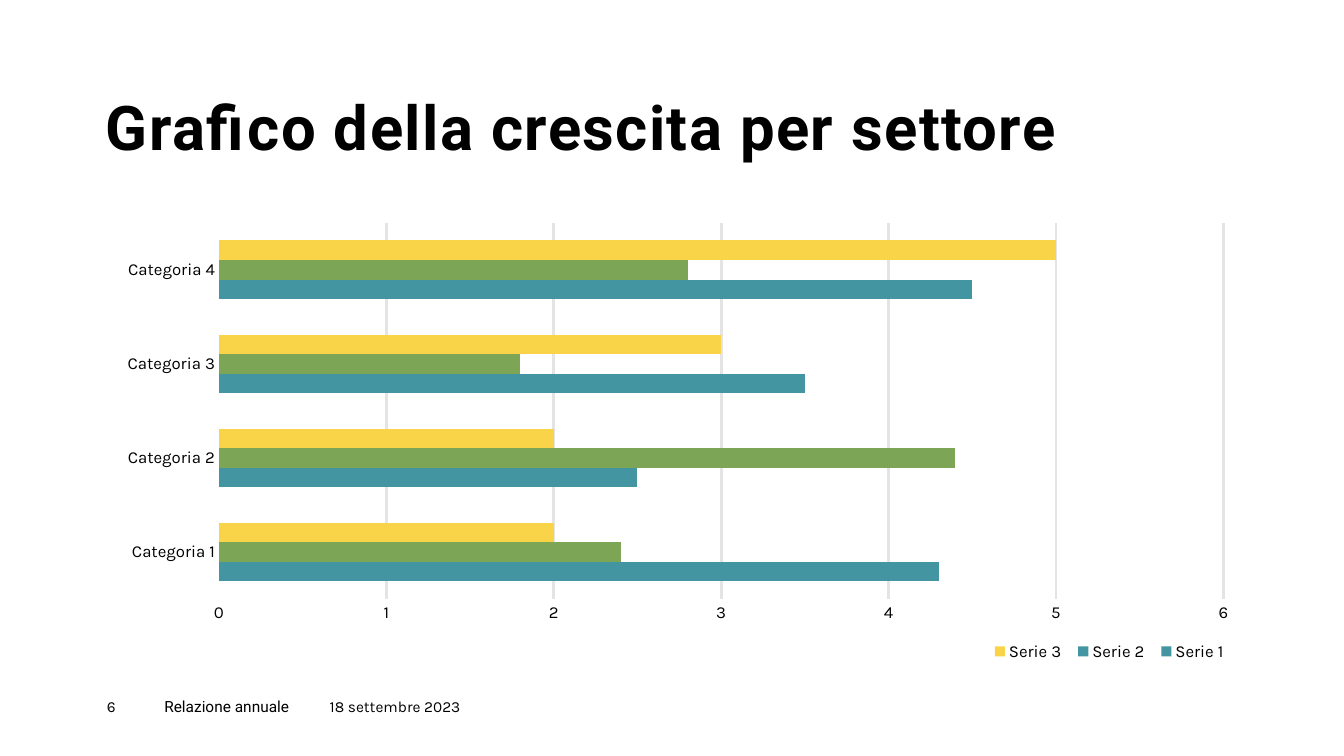
from dataclasses import dataclass

from lxml import etree
from pptx import Presentation
from pptx.chart import data as chart_data
from pptx.dml.color import RGBColor
from pptx.enum import chart as chart_enum, text
from pptx.oxml import ns
from pptx.util import Inches, Pt


@dataclass(frozen=True)
class Theme:
    """Colours, fonts and type sizes of the slide."""
    ink: str = "000000"
    paper: str = "FFFFFF"
    grid: str = "E4E4E4"
    teal: str = "4495A2"
    green: str = "7CA655"
    yellow: str = "F9D448"
    heading: str = "Roboto"
    body: str = "Karla"
    title_size: int = 44
    chart_size: int = 10
    label_size: int = 12
    footer_size: int = 11


THEME = Theme()
CATEGORIES = [f"Categoria {number}" for number in range(1, 5)]
SERIES = [
    ("Serie 1", (4.3, 2.5, 3.5, 4.5), THEME.teal, THEME.teal),
    ("Serie 2", (2.4, 4.4, 1.8, 2.8), THEME.teal, THEME.green),
    ("Serie 3", (2, 2, 3, 5), THEME.yellow, THEME.yellow),
]


def set_font(font, name, size, bold=False):
    """Apply typeface, size, weight and ink colour."""
    font.name, font.size, font.bold = name, Pt(size), bold
    font.color.rgb = RGBColor.from_string(THEME.ink)


def set_fill(format_, color):
    """Apply a solid fill."""
    format_.fill.solid()
    format_.fill.fore_color.rgb = RGBColor.from_string(color)


def add_text(slide, box, words, font_name, size, bold=False):
    """Add a text box without margins and return its frame."""
    frame = slide.shapes.add_textbox(*map(Inches, box)).text_frame
    frame.word_wrap = True
    frame.margin_left = frame.margin_right = frame.margin_top = frame.margin_bottom = 0
    frame.text = words
    set_font(frame.paragraphs[0].runs[0].font, font_name, size, bold)
    return frame


def add_title(slide, box):
    """Place the slide title at the bottom of its box."""
    frame = add_text(slide, box, "Grafico della crescita per settore",
                     THEME.heading, THEME.title_size, True)
    frame.vertical_anchor = text.MSO_ANCHOR.BOTTOM
    paragraph = frame.paragraphs[0]
    paragraph.line_spacing = 0.9
    paragraph.runs[0].font._element.set("spc", "100")


def set_layout(element, box, inner=False):
    """Fix a chart part at fractions of the chart area."""
    layout = element.find(ns.qn("c:layout"))
    if layout is None:
        layout = etree.Element(ns.qn("c:layout"))
        position = element.find(ns.qn("c:legendPos"))
        if position is None:
            element.insert(0, layout)
        else:
            position.addnext(layout)
    manual = etree.SubElement(layout, ns.qn("c:manualLayout"))
    settings = [("layoutTarget", "inner")] if inner else []
    settings += [("xMode", "edge"), ("yMode", "edge"), *zip("xywh", box)]
    for tag, value in settings:
        etree.SubElement(manual, ns.qn(f"c:{tag}")).set("val", str(value))


def style_axes(chart):
    """Format both axes and the vertical gridlines."""
    for axis in (chart.category_axis, chart.value_axis):
        axis.major_tick_mark = axis.minor_tick_mark = chart_enum.XL_TICK_MARK.NONE
        set_font(axis.tick_labels.font, THEME.body, THEME.label_size)
    category_line = chart.category_axis.format.line
    category_line.color.rgb = RGBColor.from_string(THEME.paper)
    category_line.width = Pt(0.75)
    axis = chart.value_axis
    axis.minimum_scale, axis.maximum_scale, axis.major_unit = 0, 6, 1
    axis.format.line.fill.background()
    axis.has_major_gridlines = True
    grid_line = axis.major_gridlines.format.line
    grid_line.color.rgb = RGBColor.from_string(THEME.grid)
    grid_line.width = Pt(2)


def add_growth_chart(slide, box):
    """Place the clustered bar chart with its legend."""
    data = chart_data.CategoryChartData()
    data.categories = CATEGORIES
    for name, values, _, _ in SERIES:
        data.add_series(name, values)
    chart = slide.shapes.add_chart(chart_enum.XL_CHART_TYPE.BAR_CLUSTERED,
                                   *map(Inches, box), data).chart
    chart.has_title = False
    set_font(chart.font, THEME.body, THEME.chart_size)
    style_axes(chart)
    plot = chart.plots[0]
    plot.gap_width, plot.overlap, plot.vary_by_categories = 182, 0, False
    for series, (_, values, color, point_color) in zip(plot.series, SERIES):
        series.invert_if_negative = False
        set_fill(series.format, color)
        if point_color != color:
            for index in range(len(values)):
                set_fill(series.points[index].format, point_color)
    chart.has_legend = True
    legend = chart.legend
    legend.position = chart_enum.XL_LEGEND_POSITION.BOTTOM
    legend.include_in_layout = False
    set_font(legend.font, THEME.body, THEME.label_size)
    plot_area = chart._chartSpace.find(f".//{ns.qn('c:plotArea')}")
    set_layout(plot_area, (0.1, 0.02, 0.88, 0.83), inner=True)
    set_layout(legend._element, (0.77, 0.93, 0.22, 0.07))


def add_footer(slide, box):
    """Place page number, report name and date side by side."""
    left, top, _, height = box
    items = [("6", 0.57, THEME.body), ("Relazione annuale", 1.64, THEME.heading),
             ("18 settembre 2023", 1.44, THEME.body)]
    for words, width, font_name in items:
        add_text(slide, (left, top, width, height), words, font_name, THEME.footer_size)
        left += width


def main():
    """Build and save the slide."""
    presentation = Presentation()
    presentation.slide_width, presentation.slide_height = Inches(13.33), Inches(7.5)
    slide = presentation.slides.add_slide(presentation.slide_layouts[6])
    set_fill(slide.background, THEME.paper)
    add_title(slide, (1.05, 0.96, 9.91, 0.67))
    add_growth_chart(slide, (1.04, 2.12, 11.32, 4.5))
    add_footer(slide, (1.06, 6.92, 3.65, 0.27))
    presentation.save("out.pptx")


if __name__ == "__main__":
    main()
